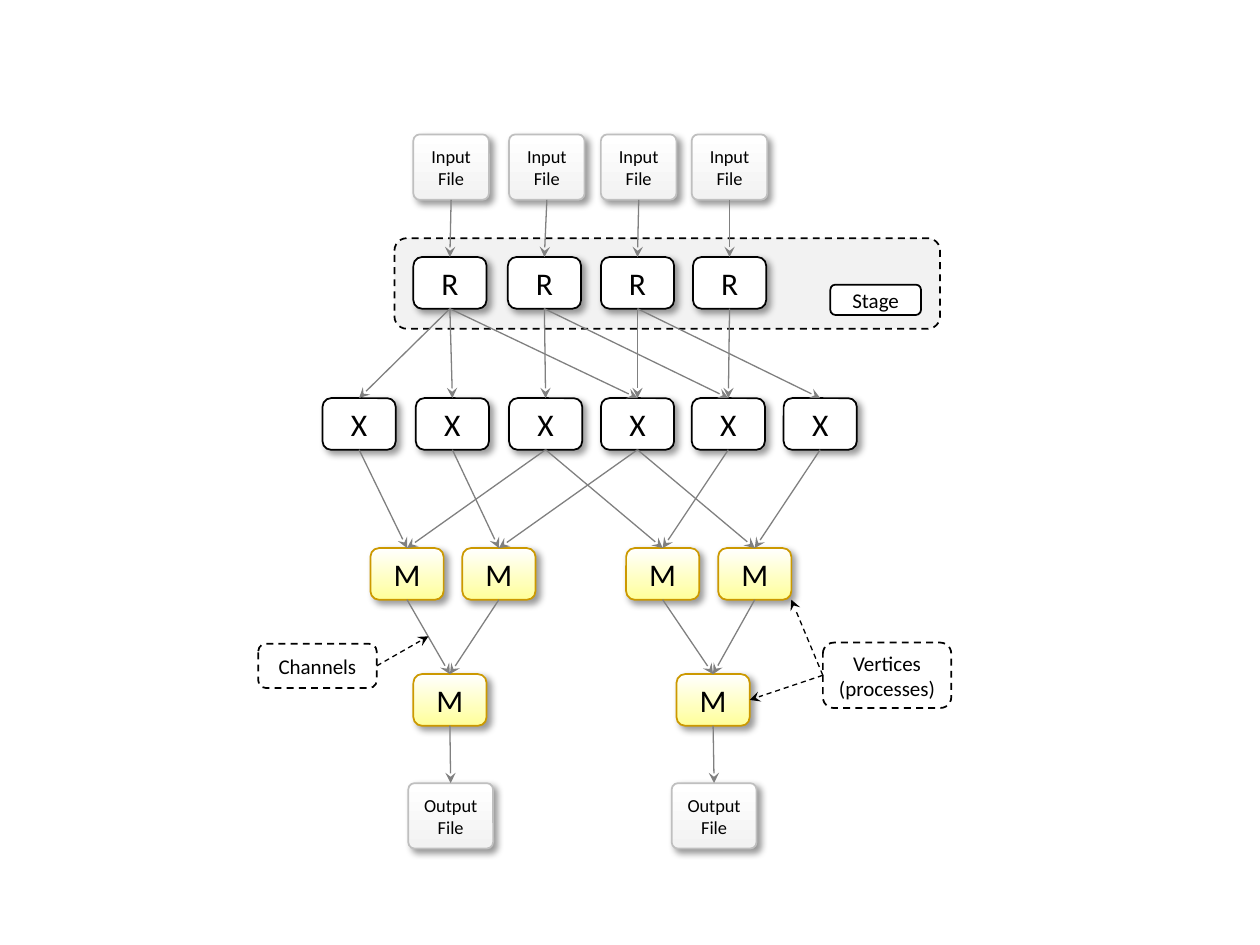
from dataclasses import dataclass
from typing import Optional

from lxml.etree import SubElement
from pptx import Presentation
from pptx.dml.color import RGBColor
from pptx.enum.dml import MSO_LINE
from pptx.enum.shapes import MSO_CONNECTOR, MSO_SHAPE
from pptx.enum.text import MSO_ANCHOR, PP_ALIGN
from pptx.oxml.ns import qn
from pptx.util import Pt

BLACK = RGBColor(0x00, 0x00, 0x00)
WHITE = RGBColor(0xFF, 0xFF, 0xFF)
PALE = RGBColor(0xF2, 0xF2, 0xF2)
SILVER = RGBColor(0xBF, 0xBF, 0xBF)
GRAY = RGBColor(0x80, 0x80, 0x80)
YELLOW = RGBColor(0xFF, 0xFF, 0x99)
GOLD = RGBColor(0xCC, 0x99, 0x00)

TOP, LEFT, BOTTOM, RIGHT = range(4)


@dataclass(frozen=True)
class Style:
    fill: RGBColor = WHITE
    fade: Optional[RGBColor] = None
    line: RGBColor = BLACK
    dash: bool = False
    shade: bool = False
    round: float = 0.167
    size: float = 12


@dataclass(frozen=True)
class Row:
    text: str
    lefts: tuple
    top: float
    width: float
    height: float
    style: Style


PLAIN = Style()
DASHED = Style(dash=True)
STAGE = Style(fill=PALE, dash=True, round=0.137)
NODE = Style(shade=True, size=18)
MERGE = Style(fade=YELLOW, line=GOLD, shade=True, size=18)
FILE = Style(fade=PALE, line=SILVER, shade=True, round=0.098, size=10.5)

W, H = 41.8, 29.5
ROWS = {
    "read": Row("R", (236.2, 290.2, 343.4, 396), 146.9, W, H, NODE),
    "mix": Row("X", (184.3, 237.6, 290.9, 343.4, 395.3, 447.8), 227.5, W, H, NODE),
    "merge": Row("M", (211.7, 264.2, 357.8, 410.4), 313.2, W, H, MERGE),
    "last": Row("M", (236.2, 386.6), 385.2, W, H, MERGE),
    "input": Row("Input File", (236.2, 290.9, 343.4, 395.3), 76.8, 43.2, 37.4, FILE),
    "output": Row("Output File", (233.3, 383.8), 447.5, 48.5, 37.4, FILE),
}

LINKS = [
    ("read", "mix", [(0, 0), (0, 1), (0, 3), (1, 2), (1, 4), (2, 3), (2, 5), (3, 4)]),
    ("mix", "merge", [(0, 0), (1, 1), (2, 0), (3, 1), (2, 2), (3, 3), (4, 2), (5, 3)]),
    ("merge", "last", [(0, 0), (1, 0), (2, 1), (3, 1)]),
    ("input", "read", [(i, i) for i in range(4)]),
    ("last", "output", [(0, 0), (1, 1)]),
]


def write(shape, text: str, *, size: float, color: RGBColor = BLACK, face: str = "Calibri"):
    frame = shape.text_frame
    frame.word_wrap = True
    frame.vertical_anchor = MSO_ANCHOR.MIDDLE
    para = frame.paragraphs[0]
    para.alignment = PP_ALIGN.CENTER
    run = para.add_run()
    run.text = text
    run.font.name = face
    run.font.size = Pt(size)
    run.font.color.rgb = color


def add_shade(shape) -> None:
    list_ = shape._element.spPr.find(qn("a:effectLst"))
    outer = SubElement(list_, qn("a:outerShdw"), blurRad=str(Pt(4)), dist=str(Pt(3)),
                       dir="2700000", algn="tl", rotWithShape="0")
    color = SubElement(outer, qn("a:srgbClr"), val=str(BLACK))
    SubElement(color, qn("a:alpha"), val="40000")


def add_box(slide, text: str, left: float, top: float, width: float, height: float,
            style: Style):
    box = slide.shapes.add_shape(MSO_SHAPE.ROUNDED_RECTANGLE,
                                 Pt(left), Pt(top), Pt(width), Pt(height))
    box.adjustments[0] = style.round
    box.shadow.inherit = False
    if style.fade is None:
        box.fill.solid()
        box.fill.fore_color.rgb = style.fill
    else:
        box.fill.gradient()
        box.fill.gradient_angle = 270
        for stop, color in zip(box.fill.gradient_stops, (style.fill, style.fade)):
            stop.color.rgb = color
    box.line.color.rgb = style.line
    box.line.width = Pt(1)
    if style.dash:
        box.line.dash_style = MSO_LINE.DASH
    if style.shade:
        add_shade(box)
    if text:
        write(box, text, size=style.size)
    return box


def add_row(slide, row: Row) -> list:
    return [add_box(slide, row.text, left, row.top, row.width, row.height, row.style)
            for left in row.lefts]


def add_link(slide, start, side: int, *, goal=None, goal_side: int = TOP,
             point: tuple = (0, 0), color: RGBColor = GRAY, dash: bool = False) -> None:
    x, y = point
    link = slide.shapes.add_connector(MSO_CONNECTOR.STRAIGHT, Pt(x), Pt(y), Pt(x), Pt(y))
    link.begin_connect(start, side)
    if goal is not None:
        link.end_connect(goal, goal_side)
    link.line.color.rgb = color
    link.line.width = Pt(0.75)
    if dash:
        link.line.dash_style = MSO_LINE.DASH
    SubElement(link.line._get_or_add_ln(), qn("a:tailEnd"), type="stealth")
    SubElement(link._element.spPr, qn("a:effectLst"))


def main() -> None:
    deck = Presentation()
    deck.slide_width, deck.slide_height = Pt(720), Pt(540)
    slide = deck.slides.add_slide(deck.slide_layouts[6])

    add_box(slide, "", 225.4, 136.1, 311.8, 51.8, STAGE)
    boxes = {name: add_row(slide, row) for name, row in ROWS.items()}
    for upper, lower, pairs in LINKS:
        for i, j in pairs:
            add_link(slide, boxes[upper][i], BOTTOM, goal=boxes[lower][j])

    add_box(slide, "Stage", 474.5, 162.7, 51.8, 17.3, PLAIN)
    label = add_box(slide, "Vertices (processes)", 470.2, 367.2, 73.4, 37.4, DASHED)
    add_link(slide, label, LEFT, point=(452.2, 342.7), color=BLACK, dash=True)
    add_link(slide, label, LEFT, goal=boxes["last"][1], goal_side=RIGHT,
             color=BLACK, dash=True)
    label = add_box(slide, "Channels", 147.6, 367.9, 67.7, 25.2, DASHED)
    add_link(slide, label, RIGHT, point=(244.8, 363.6), color=BLACK, dash=True)

    deck.save("out.pptx")


if __name__ == "__main__":
    main()
